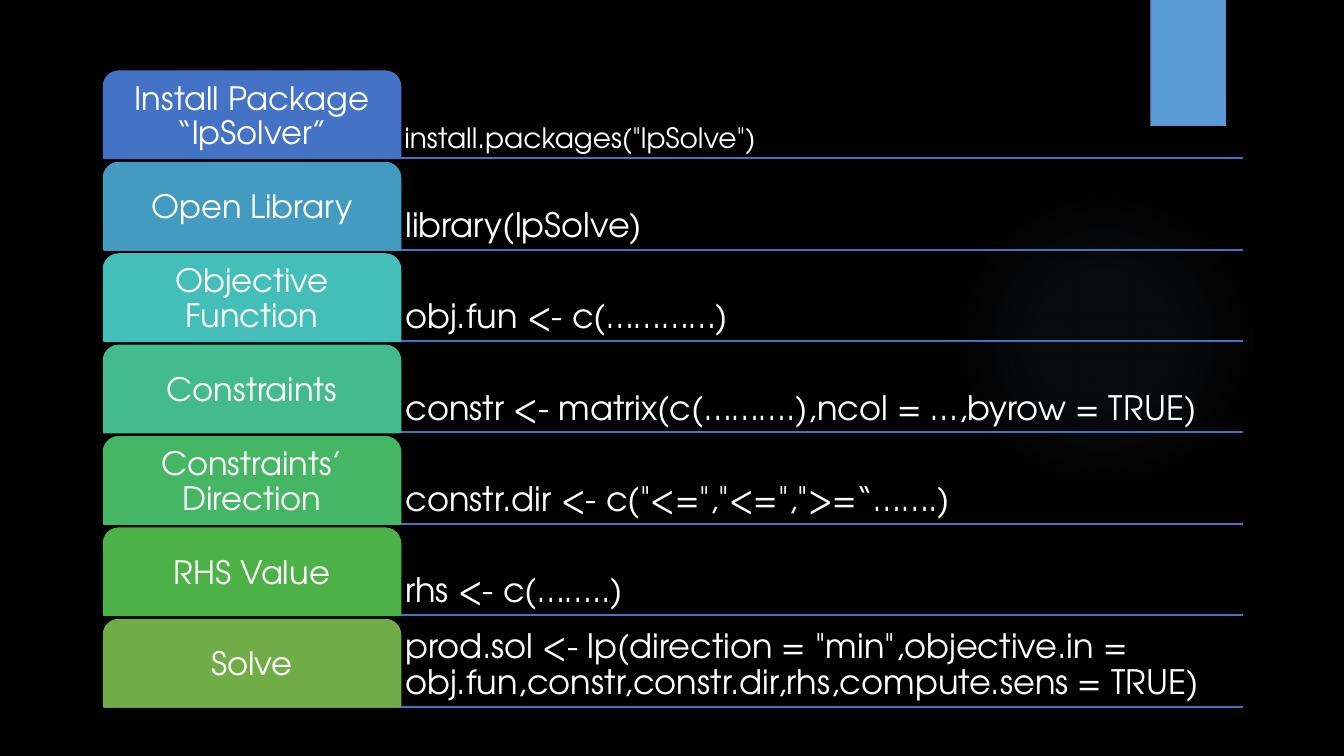
import lxml.etree
import pptx
import pptx.dml.color
import pptx.enum.shapes
import pptx.enum.text
import pptx.oxml
import pptx.oxml.ns
import pptx.util

Inches = pptx.util.Inches
Pt = pptx.util.Pt
RGBColor = pptx.dml.color.RGBColor
MSO_SHAPE = pptx.enum.shapes.MSO_SHAPE
MSO_ANCHOR = pptx.enum.text.MSO_ANCHOR
PP_ALIGN = pptx.enum.text.PP_ALIGN
qn = pptx.oxml.ns.qn

FONT = "TeX Gyre Adventor"
BLACK = RGBColor(0x00, 0x00, 0x00)
WHITE = RGBColor(0xFF, 0xFF, 0xFF)
RULE_BLUE = RGBColor(0x44, 0x72, 0xC4)
RIBBON_BLUE = RGBColor(0x5B, 0x9B, 0xD5)

# Label, tab colour, code, code size
STEPS = [
    ("Install Package “lpSolver”", RULE_BLUE, 'install.packages("lpSolve")', 20),
    ("Open Library", RGBColor(0x44, 0x9B, 0xC1), "library(lpSolve)", 24),
    ("Objective Function", RGBColor(0x43, 0xBE, 0xB9), "obj.fun <- c(…………)", 24),
    ("Constraints", RGBColor(0x43, 0xBB, 0x8D),
     "constr <- matrix(c(……….),ncol = …,byrow = TRUE)", 24),
    ("Constraints’ Direction", RGBColor(0x45, 0xB6, 0x64),
     'constr.dir <- c("<=","<=",">=“…….)', 24),
    ("RHS Value", RGBColor(0x4C, 0xB1, 0x46), "rhs <- c(……..)", 24),
    ("Solve", RGBColor(0x70, 0xAD, 0x47),
     'prod.sol <- lp(direction = "min",objective.in = '
     "obj.fun,constr,constr.dir,rhs,compute.sens = TRUE)", 24),
]

LEFT, TOP = 1.03, 0.71
TAB_WIDTH, CODE_WIDTH = 2.94, 8.36
ROW_HEIGHT = 0.86
ROW_PITCH = 5.44 / 6


def write_text(shape, text, size, anchor, alignment, margin):
    frame = shape.text_frame
    frame.word_wrap = True
    frame.vertical_anchor = anchor
    frame.margin_left = frame.margin_right = Inches(margin)
    frame.margin_top = frame.margin_bottom = Inches(margin)
    paragraph = frame.paragraphs[0]
    paragraph.alignment = alignment
    paragraph.line_spacing = 0.9
    run = paragraph.add_run()
    run.text = text
    run.font.name = FONT
    run.font.size = Pt(size)
    run.font.color.rgb = WHITE


presentation = pptx.Presentation()
presentation.slide_width = Inches(13.33)
presentation.slide_height = Inches(7.5)
slide = presentation.slides.add_slide(presentation.slide_layouts[6])
slide.background.fill.solid()
slide.background.fill.fore_color.rgb = BLACK

# Faint round glow
glow = slide.shapes.add_shape(
    MSO_SHAPE.OVAL, Inches(9.41), Inches(1.83), Inches(3.08), Inches(3.08))
glow.shadow.inherit = False
glow.line.fill.background()
stops = "".join(
    f'<a:gs pos="{position}000"><a:srgbClr val="8497B0">'
    f'<a:alpha val="{alpha}000"/></a:srgbClr></a:gs>'
    for position, alpha in [(0, 7), (36, 6), (69, 0)])
gradient = pptx.oxml.parse_xml(
    f'<a:gradFill {pptx.oxml.ns.nsdecls("a")}><a:gsLst>{stops}</a:gsLst>'
    '<a:path path="circle"><a:fillToRect l="50000" t="50000" r="50000" b="50000"/>'
    "</a:path></a:gradFill>")
glow.element.spPr.find(qn("a:prstGeom")).addnext(gradient)

# Ribbon at the top edge, with a soft shadow
ribbon = slide.shapes.add_shape(
    MSO_SHAPE.RECTANGLE, Inches(11.41), 0, Inches(0.75), Inches(1.25))
ribbon.shadow.inherit = False
ribbon.fill.solid()
ribbon.fill.fore_color.rgb = RIBBON_BLUE
ribbon.line.fill.background()
ribbon.element.spPr.find(qn("a:effectLst")).append(pptx.oxml.parse_xml(
    f'<a:outerShdw {pptx.oxml.ns.nsdecls("a")} blurRad="{Pt(3)}" dist="{Pt(2)}" '
    'dir="5400000"><a:srgbClr val="000000"><a:alpha val="45000"/></a:srgbClr>'
    "</a:outerShdw>"))

# One row per step: rule, code and coloured tab
for row, (label, colour, code, code_size) in enumerate(STEPS):
    top = TOP + row * ROW_PITCH
    bottom = Inches(top + ROW_HEIGHT)

    rule = slide.shapes.add_connector(
        pptx.enum.shapes.MSO_CONNECTOR.STRAIGHT, Inches(LEFT), bottom,
        Inches(LEFT + TAB_WIDTH + CODE_WIDTH), bottom)
    rule.line.color.rgb = RULE_BLUE
    rule.line.width = Pt(1.5)
    lxml.etree.SubElement(rule.element.spPr, qn("a:effectLst"))

    code_box = slide.shapes.add_textbox(
        Inches(LEFT + TAB_WIDTH), Inches(top), Inches(CODE_WIDTH), Inches(ROW_HEIGHT))
    write_text(code_box, code, code_size, MSO_ANCHOR.BOTTOM, PP_ALIGN.LEFT,
               0.04 if code_size == 20 else 0.05)

    tab = slide.shapes.add_shape(
        MSO_SHAPE.ROUND_2_SAME_RECTANGLE, Inches(LEFT), Inches(top),
        Inches(TAB_WIDTH), Inches(ROW_HEIGHT))
    tab.adjustments[0] = 0.17
    tab.adjustments[1] = 0
    tab.shadow.inherit = False
    tab.fill.solid()
    tab.fill.fore_color.rgb = colour
    tab.line.color.rgb = colour
    tab.line.width = Pt(1.5)
    write_text(tab, label, 23, MSO_ANCHOR.MIDDLE, PP_ALIGN.CENTER, 0.05)

presentation.save("out.pptx")
